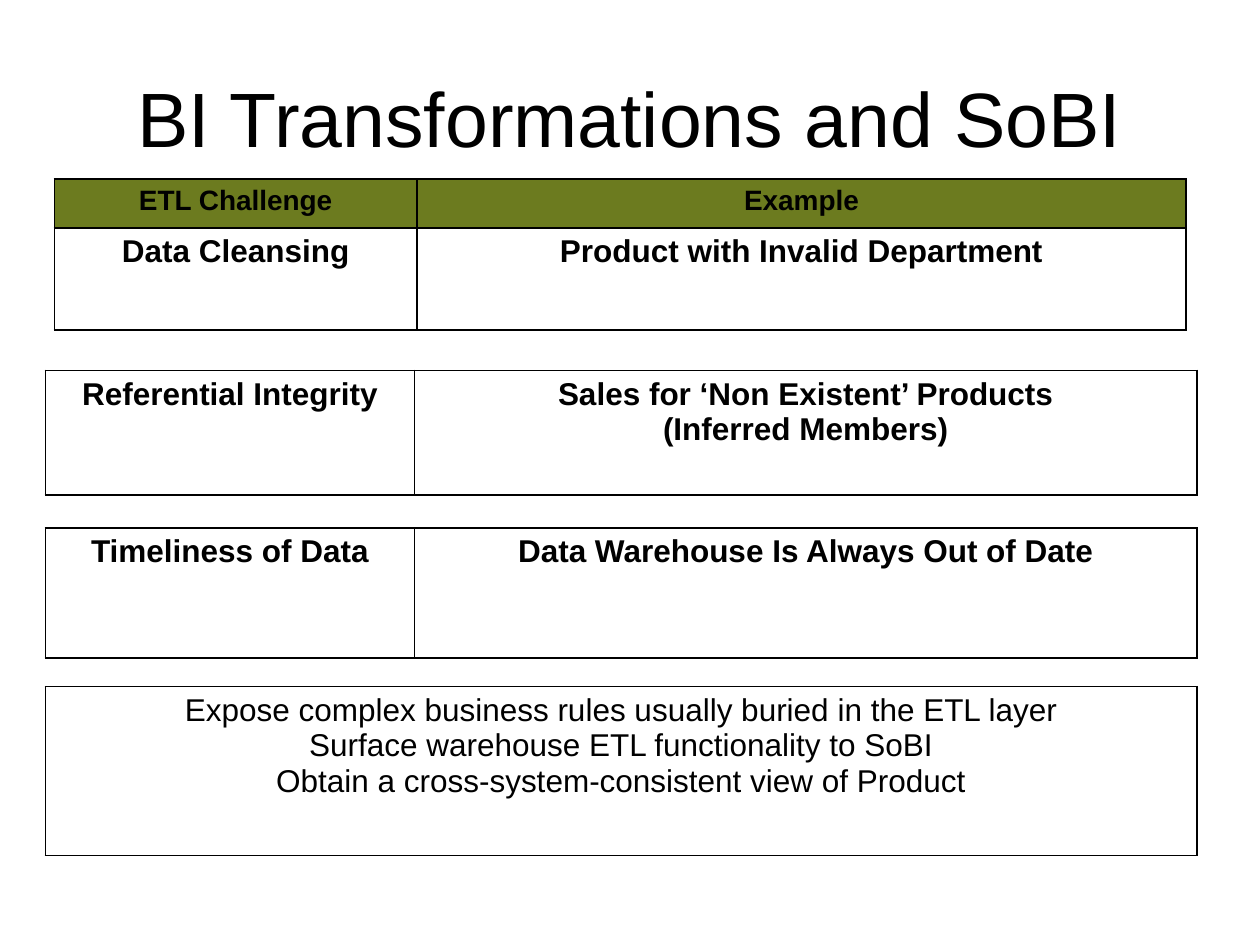
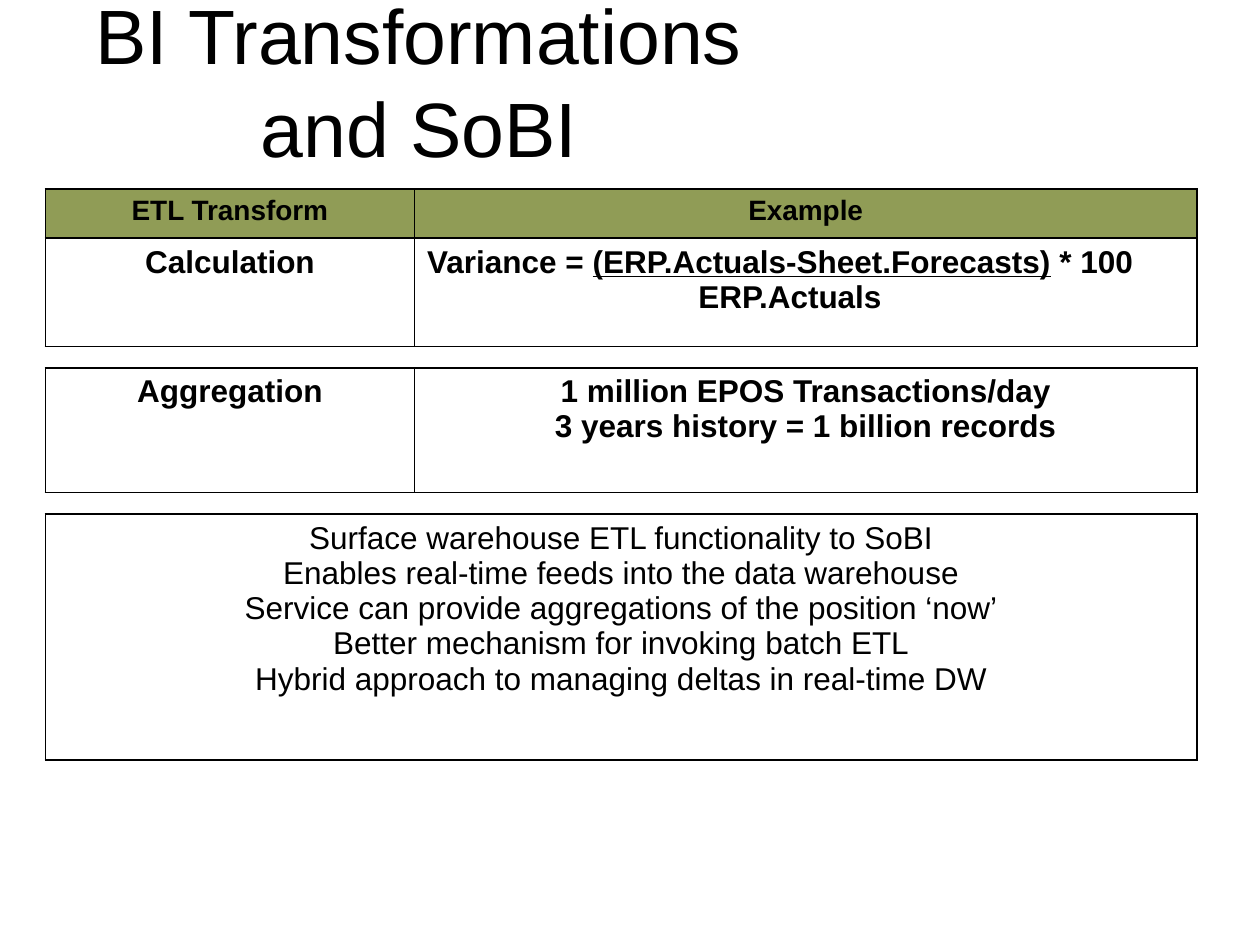
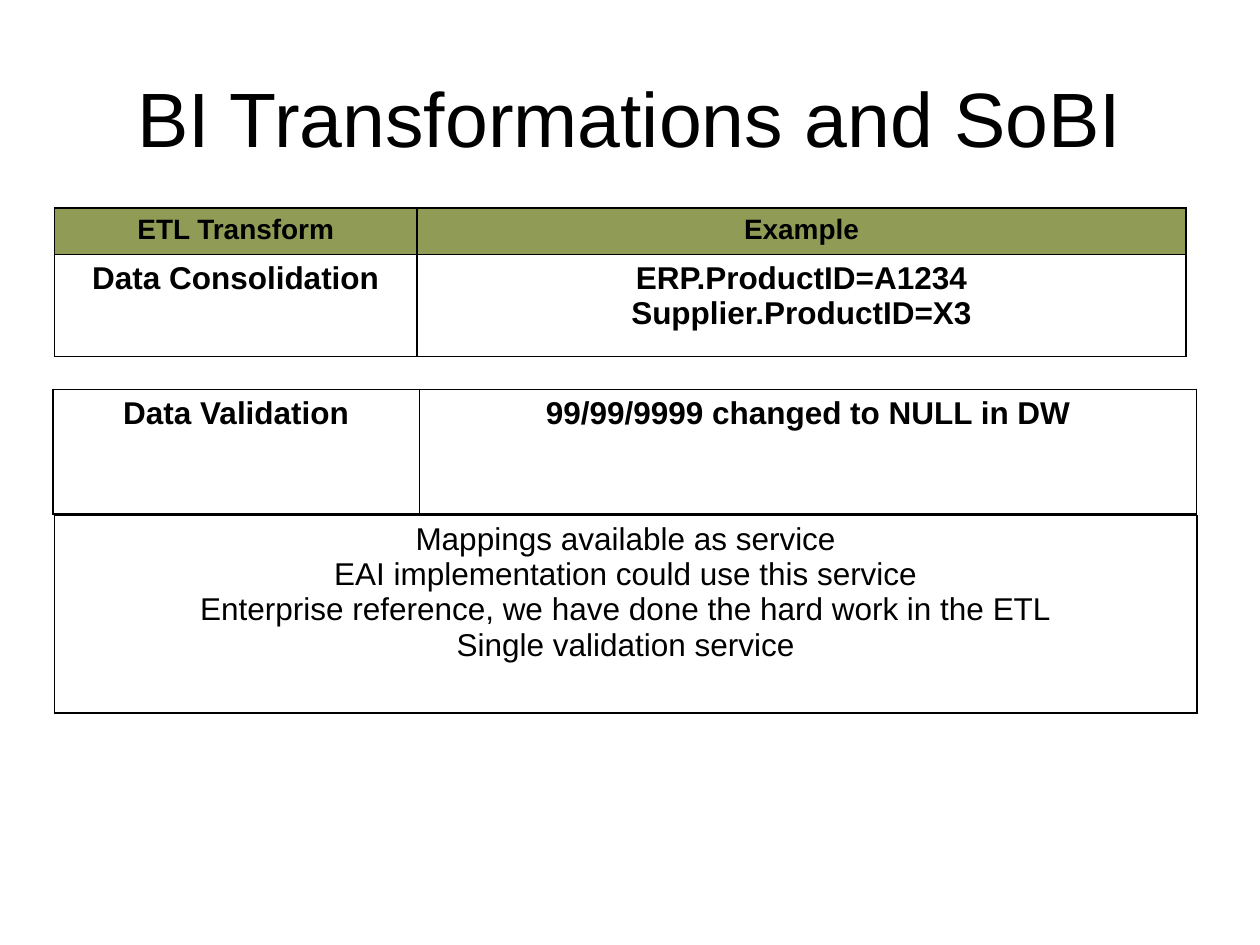
import pptx
import pptx.dml.color
import pptx.enum.text
import pptx.oxml
import pptx.util
from pptx.oxml.ns import nsdecls

Pt = pptx.util.Pt
ALIGN = pptx.enum.text.PP_ALIGN
BLACK = pptx.dml.color.RGBColor(0x00, 0x00, 0x00)
OLIVE = pptx.dml.color.RGBColor(0x6C, 0x7B, 0x1F)
SAGE = pptx.dml.color.RGBColor(0x90, 0x9C, 0x56)
FONT = "Arial"
TITLE = "BI Transformations and SoBI"
WIDE_LEFT, WIDE_COLS = 25.9, (211, 447)
NARROW_LEFT, NARROW_COLS = 31, (207.4, 439.2)


def write_text(tf, text, size=18, bold=False, align=ALIGN.CENTER):
    """Write one paragraph per line, underlining what stands between underscores."""
    for i, line in enumerate(text.split("\n")):
        p = tf.paragraphs[0] if i == 0 else tf.add_paragraph()
        p.alignment = align
        for j, part in enumerate(line.split("_")):
            if part:
                r = p.add_run()
                r.text = part
                r.font.name, r.font.size, r.font.bold = FONT, Pt(size), bold
                r.font.underline = j % 2 == 1
                r.font.color.rgb = BLACK


def add_title_slide(prs, left=36, top=21.6, width=648, height=90):
    """Add a slide with the shared title in the given box."""
    s = prs.slides.add_slide(prs.slide_layouts[5])
    title = s.shapes.title
    title.left, title.top = Pt(left), Pt(top)
    title.width, title.height = Pt(width), Pt(height)
    tf = title.text_frame
    tf.word_wrap = True
    tf.auto_size = pptx.enum.text.MSO_AUTO_SIZE.NONE
    tf.vertical_anchor = pptx.enum.text.MSO_ANCHOR.MIDDLE
    write_text(tf, TITLE, size=44)
    return s


def add_borders(cell):
    """Draw a thin black line on each side of a cell."""
    tcPr = cell._tc.get_or_add_tcPr()
    for i, side in enumerate(("lnL", "lnR", "lnT", "lnB")):
        tcPr.insert(i, pptx.oxml.parse_xml(
            f'<a:{side} {nsdecls("a")} w="{Pt(1)}"><a:solidFill>'
            f'<a:srgbClr val="{BLACK}"/></a:solidFill></a:{side}>'))


def add_grid(s, rows, top, heights, left=WIDE_LEFT, cols=WIDE_COLS, bold=True, header=None):
    """Add a bordered table whose first row is a band if a header colour is given."""
    frame = s.shapes.add_table(len(rows), len(cols), Pt(left), Pt(top),
                               Pt(sum(cols)), Pt(sum(heights)))
    table = frame.table
    table.first_row = table.horz_banding = False
    for column, width in zip(table.columns, cols):
        column.width = Pt(width)
    for i, (row, height) in enumerate(zip(rows, heights)):
        table.rows[i].height = Pt(height)
        is_header = header is not None and i == 0
        for cell, text in zip(table.rows[i].cells, row):
            if is_header:
                cell.fill.solid()
                cell.fill.fore_color.rgb = header
            else:
                cell.fill.background()
            add_borders(cell)
            write_text(cell.text_frame, text, size=16 if is_header else 18, bold=bold)
    return table


def add_benefits(s, lines, top, height, left=WIDE_LEFT, width=sum(WIDE_COLS)):
    """Add the one-cell table that lists the benefits."""
    add_grid(s, [["\n".join(lines)]], top, [height], left, [width], bold=False)


def add_challenges(prs):
    """Add the slide on ETL challenges."""
    s = add_title_slide(prs)
    add_grid(s, [["ETL Challenge", "Example"],
                 ["Data Cleansing", "Product with Invalid Department"]],
             102.2, [28.1, 58.3], NARROW_LEFT, NARROW_COLS, header=OLIVE)
    add_grid(s, [["Referential Integrity",
                  "Sales for ‘Non Existent’ Products\n(Inferred Members)"]], 211.7, [71.3])
    add_benefits(s, ["Expose complex business rules usually buried in the ETL layer",
                     "Surface warehouse ETL functionality to SoBI",
                     "Obtain a cross-system-consistent view of Product"], 392.4, 96.5)
    add_grid(s, [["Timeliness of Data", "Data Warehouse Is Always Out of Date"]],
             301.7, [74.2])


def add_calculations(prs):
    """Add the slide on calculation and aggregation."""
    s = add_title_slide(prs, 23.8, 23.8, 431.3, 43.9)
    table = add_grid(s, [["ETL Transform", "Example"], ["Calculation", ""]],
                     108, [28.1, 61.9], header=SAGE)
    tf = table.cell(1, 1).text_frame
    write_text(tf, "Variance = _(ERP.Actuals-Sheet.Forecasts)_ * 100\nERP.Actuals",
               bold=True, align=ALIGN.LEFT)
    tf.paragraphs[1]._p.get_or_add_pPr().set("marL", str(Pt(155)))
    add_grid(s, [["Aggregation", "1 million EPOS Transactions/day\n"
                  "3 years history = 1 billion records"]], 210.2, [71.3])
    add_benefits(s, ["Surface warehouse ETL functionality to SoBI",
                     "Enables real-time feeds into the data warehouse",
                     "Service can provide aggregations of the position ‘now’",
                     "Better mechanism for invoking batch ETL",
                     "Hybrid approach to managing deltas in real-time DW"], 293.8, 140.4)


def add_consolidation(prs):
    """Add the slide on consolidation and validation."""
    s = add_title_slide(prs)
    add_benefits(s, ["Mappings available as service",
                     "EAI implementation could use this service",
                     "Enterprise reference, we have done the hard work in the ETL",
                     "Single validation service"], 294.5, 113, NARROW_LEFT, 653)
    add_grid(s, [["ETL Transform", "Example"],
                 ["Data Consolidation", "ERP.ProductID=A1234\nSupplier.ProductID=X3"]],
             118.8, [26.6, 58.3], NARROW_LEFT, NARROW_COLS, header=SAGE)
    add_grid(s, [["Data Validation", "99/99/9999 changed to NULL in DW"]],
             222.5, [71.3], 30.2, (209.5, 444.2))


def main():
    """Build the three slides and save them."""
    prs = pptx.Presentation()
    prs.slide_width, prs.slide_height = Pt(720), Pt(540)
    add_challenges(prs)
    add_calculations(prs)
    add_consolidation(prs)
    prs.save("out.pptx")


if __name__ == "__main__":
    main()
